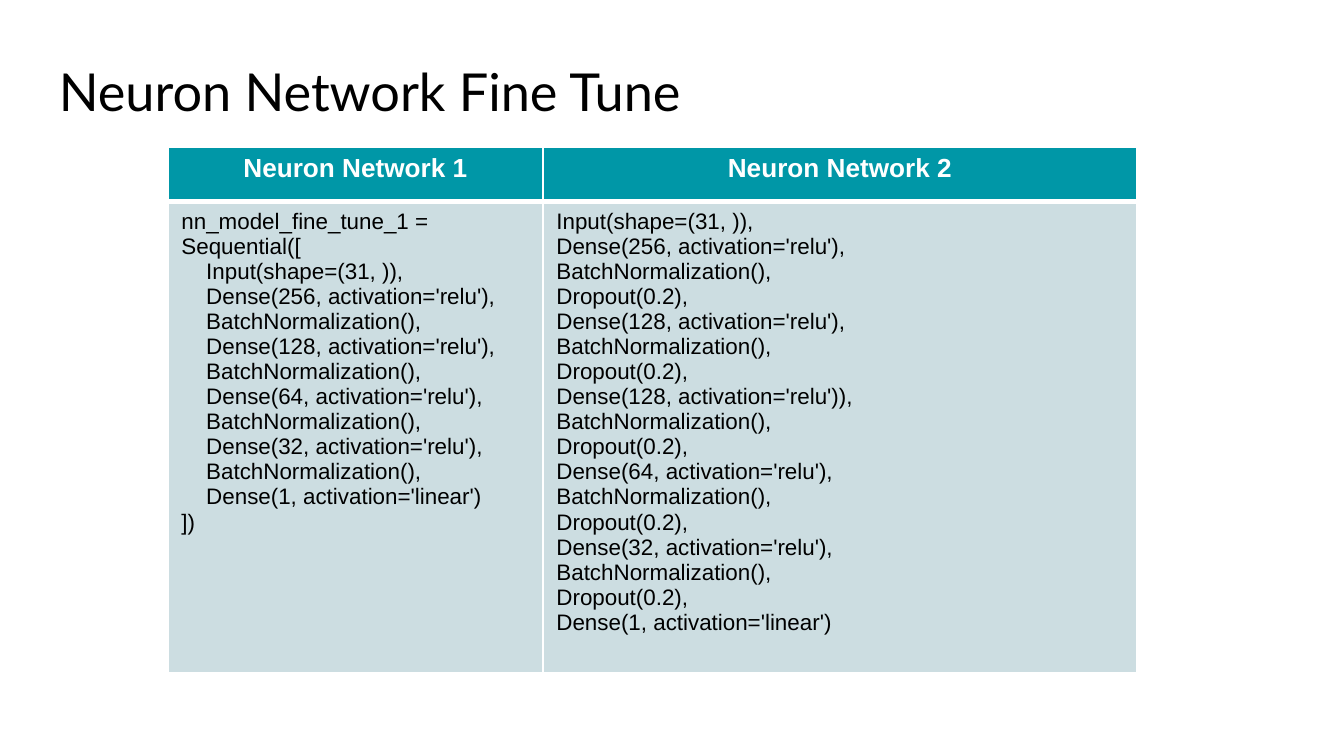
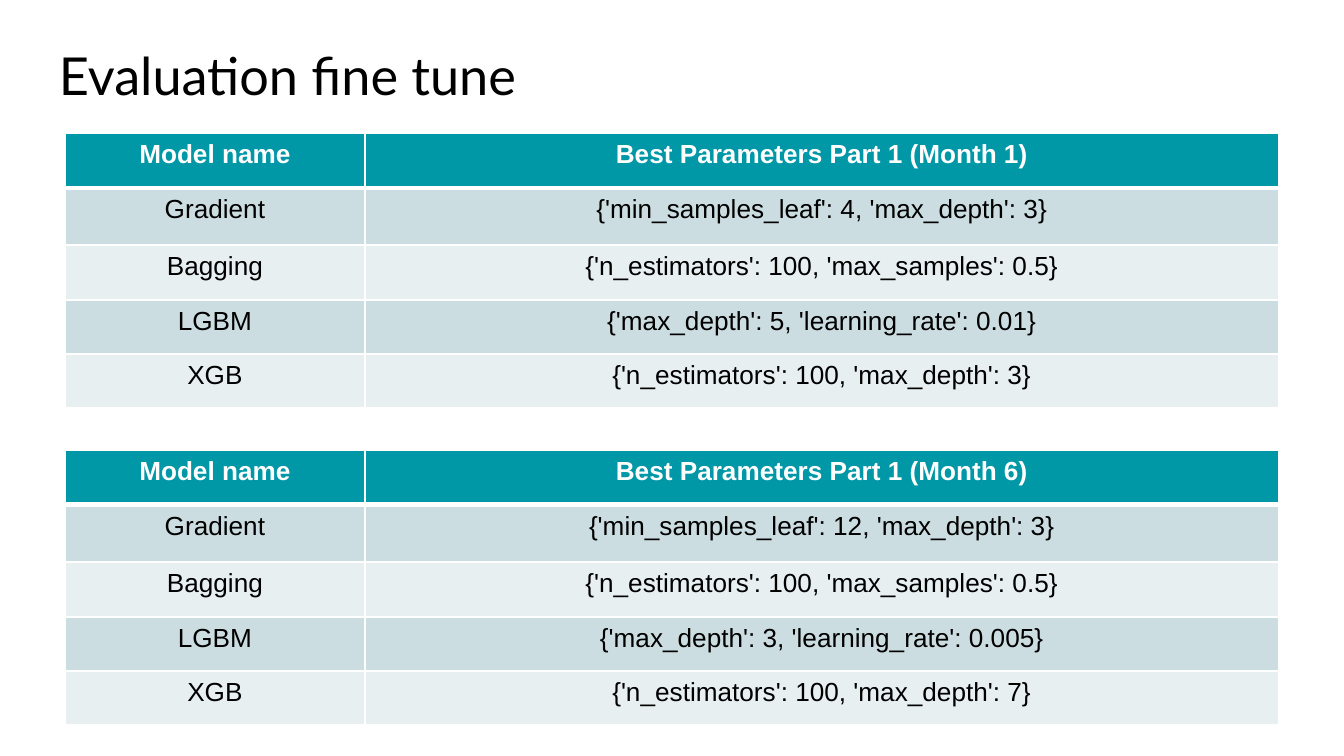
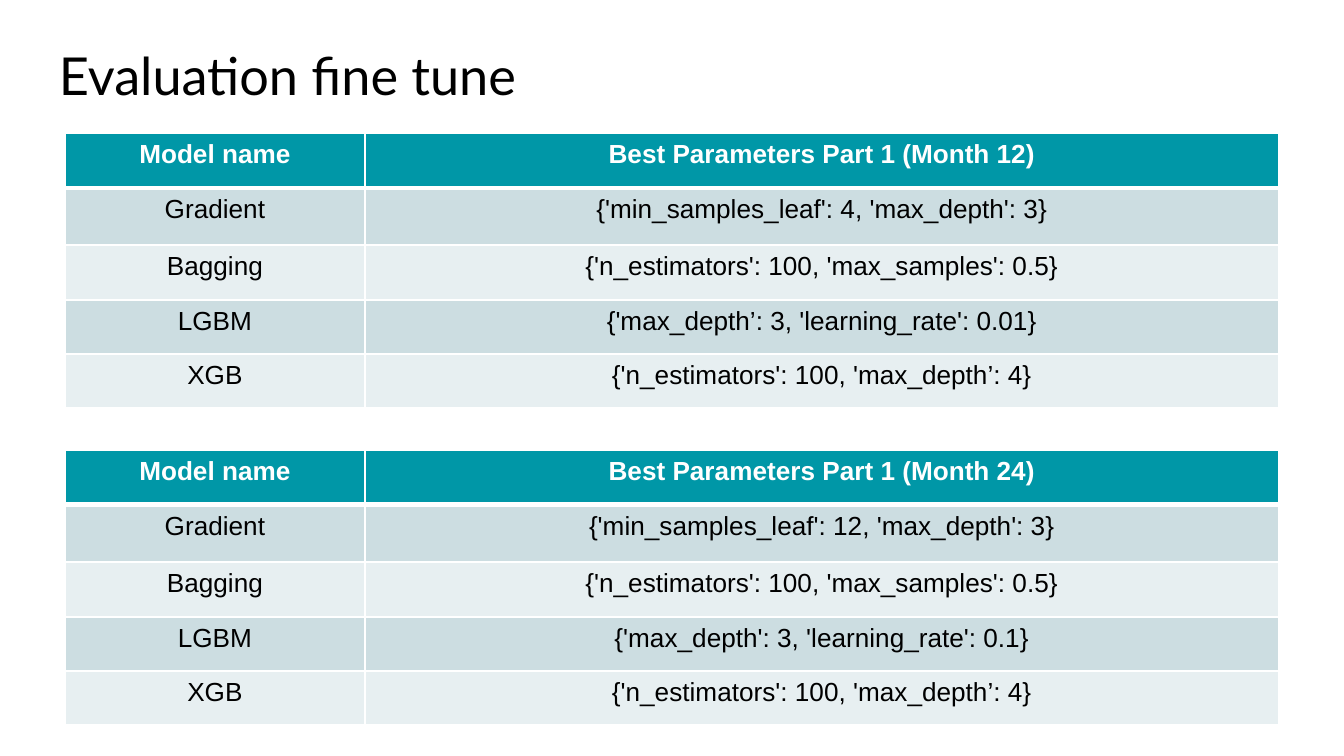
from lxml.etree import SubElement
from pptx import Presentation
from pptx.dml.color import RGBColor
from pptx.enum.text import MSO_ANCHOR, PP_ALIGN
from pptx.oxml.ns import qn
from pptx.util import Emu, Pt

COLORS = {"text": "000000", "white": "FFFFFF", "header": "0097A7",
          "band_dark": "CCDDE1", "band_light": "E7EFF1"}
TITLE_FONT, BODY_FONT = "Lato", "Arial"
PX_PER_INCH = 134.4
THIN, THICK = 1, 3  # border widths in points

# Network definitions
NETWORK_1 = """nn_model_fine_tune_1 = Sequential([
    Input(shape=(31, )),
    Dense(256, activation='relu'),
    BatchNormalization(),
    Dense(128, activation='relu'),
    BatchNormalization(),
    Dense(64, activation='relu'),
    BatchNormalization(),
    Dense(32, activation='relu'),
    BatchNormalization(),
    Dense(1, activation='linear')
])"""
NETWORK_2 = """Input(shape=(31, )),
Dense(256, activation='relu'),
BatchNormalization(),
Dropout(0.2),
Dense(128, activation='relu'),
BatchNormalization(),
Dropout(0.2),
Dense(128, activation='relu')),
BatchNormalization(),
Dropout(0.2),
Dense(64, activation='relu'),
BatchNormalization(),
Dropout(0.2),
Dense(32, activation='relu'),
BatchNormalization(),
Dropout(0.2),
Dense(1, activation='linear')"""

# Best parameters for each month, in the order of MODELS
MODELS = ["Gradient", "Bagging", "LGBM", "XGB"]
BAGGING = "{'n_estimators': 100, 'max_samples': 0.5}"
EVALUATIONS = [
    {1: ["{'min_samples_leaf': 4, 'max_depth': 3}", BAGGING,
         "{'max_depth': 5, 'learning_rate': 0.01}",
         "{'n_estimators': 100, 'max_depth': 3}"],
     6: ["{'min_samples_leaf': 12, 'max_depth': 3}", BAGGING,
         "{'max_depth': 3, 'learning_rate': 0.005}",
         "{'n_estimators': 100, 'max_depth': 7}"]},
    {12: ["{'min_samples_leaf': 4, 'max_depth': 3}", BAGGING,
          "{'max_depth’: 3, 'learning_rate': 0.01}",
          "{'n_estimators': 100, 'max_depth’: 4}"],
     24: ["{'min_samples_leaf': 12, 'max_depth': 3}", BAGGING,
          "{'max_depth': 3, 'learning_rate': 0.1}",
          "{'n_estimators': 100, 'max_depth’: 4}"]},
]


def px(n):
    return Emu(round(n * 914400 / PX_PER_INCH))


def rgb(name):
    return RGBColor.from_string(COLORS[name])


def style(p, font, size, color, bold=False, align=PP_ALIGN.LEFT):
    p.alignment = align
    p.font.name, p.font.size, p.font.bold = font, Pt(size), bold
    p.font.color.rgb = rgb(color)


def add_titled_slide(prs, title, y):
    s = prs.slides.add_slide(prs.slide_layouts[6])
    tf = s.shapes.add_textbox(px(46), px(y), px(1253), px(85)).text_frame
    tf.word_wrap = True
    tf.vertical_anchor = MSO_ANCHOR.TOP
    tf.margin_left = tf.margin_right = tf.margin_top = tf.margin_bottom = px(13)
    tf.text = title
    style(tf.paragraphs[0], TITLE_FONT, 28, "text")
    return s


def set_borders(cell, top, bottom):
    tc_pr = cell._tc.get_or_add_tcPr()
    for side, width in zip("LRTB", (THIN, THIN, top, bottom)):
        ln = SubElement(tc_pr, qn(f"a:ln{side}"), w=str(Pt(width)))
        fill = SubElement(ln, qn("a:solidFill"))
        SubElement(fill, qn("a:srgbClr"), val=COLORS["white"])


def add_banded_table(s, x, y, cols, heights, rows, size, align):
    """Table with a header row, a thick rule below it and alternating bands."""
    table = s.shapes.add_table(len(rows), len(cols), px(x), px(y),
                               px(sum(cols)), px(sum(heights))).table
    for column, width in zip(table.columns, cols):
        column.width = px(width)
    for i, (texts, height) in enumerate(zip(rows, heights)):
        table.rows[i].height = px(height)
        band = "header" if i == 0 else "band_dark" if i % 2 else "band_light"
        for cell, text in zip(table.rows[i].cells, texts):
            set_borders(cell, THICK if i == 1 else THIN, THICK if i == 0 else THIN)
            cell.fill.solid()
            cell.fill.fore_color.rgb = rgb(band)
            cell.text = text
            for p in cell.text_frame.paragraphs:
                if i == 0:
                    style(p, BODY_FONT, 14, "white", True, PP_ALIGN.CENTER)
                else:
                    style(p, BODY_FONT, size, "text", align=align)


def add_network_slide(prs):
    s = add_titled_slide(prs, "Neuron Network Fine Tune", 46)
    rows = [("Neuron Network 1", "Neuron Network 2"), (NETWORK_1, NETWORK_2)]
    add_banded_table(s, 168, 147, [375, 594], [55, 467], rows, 12, PP_ALIGN.LEFT)


def add_evaluation_slide(prs, months):
    s = add_titled_slide(prs, "Evaluation fine tune", 30)
    for i, (month, params) in enumerate(months.items()):
        rows = [("Model name", f"Best Parameters Part 1 (Month {month})"),
                *zip(MODELS, params)]
        add_banded_table(s, 65, 133 + 317 * i, [300, 914], [55, 57, 55, 54, 54],
                         rows, 14, PP_ALIGN.CENTER)


def main():
    prs = Presentation()
    prs.slide_width, prs.slide_height = px(1344), px(756)
    add_network_slide(prs)
    for months in EVALUATIONS:
        add_evaluation_slide(prs, months)
    prs.save("out.pptx")


if __name__ == "__main__":
    main()
